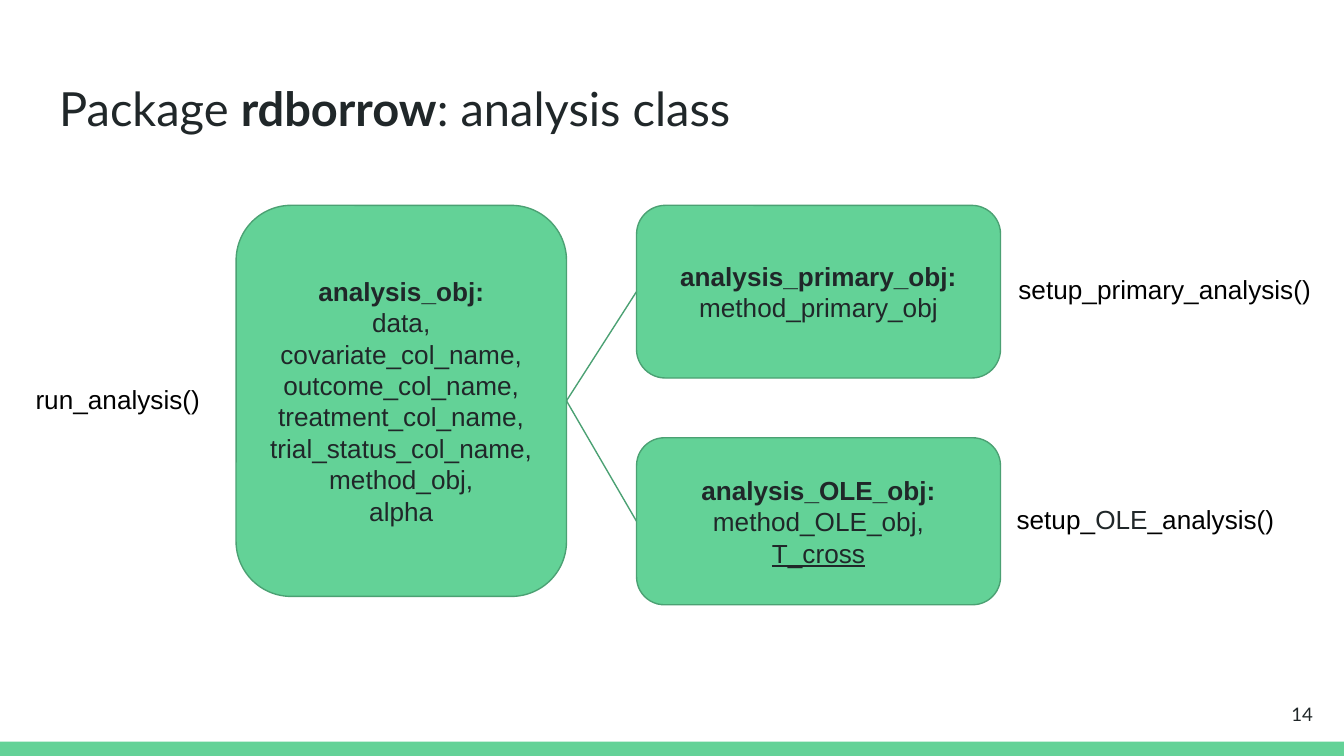
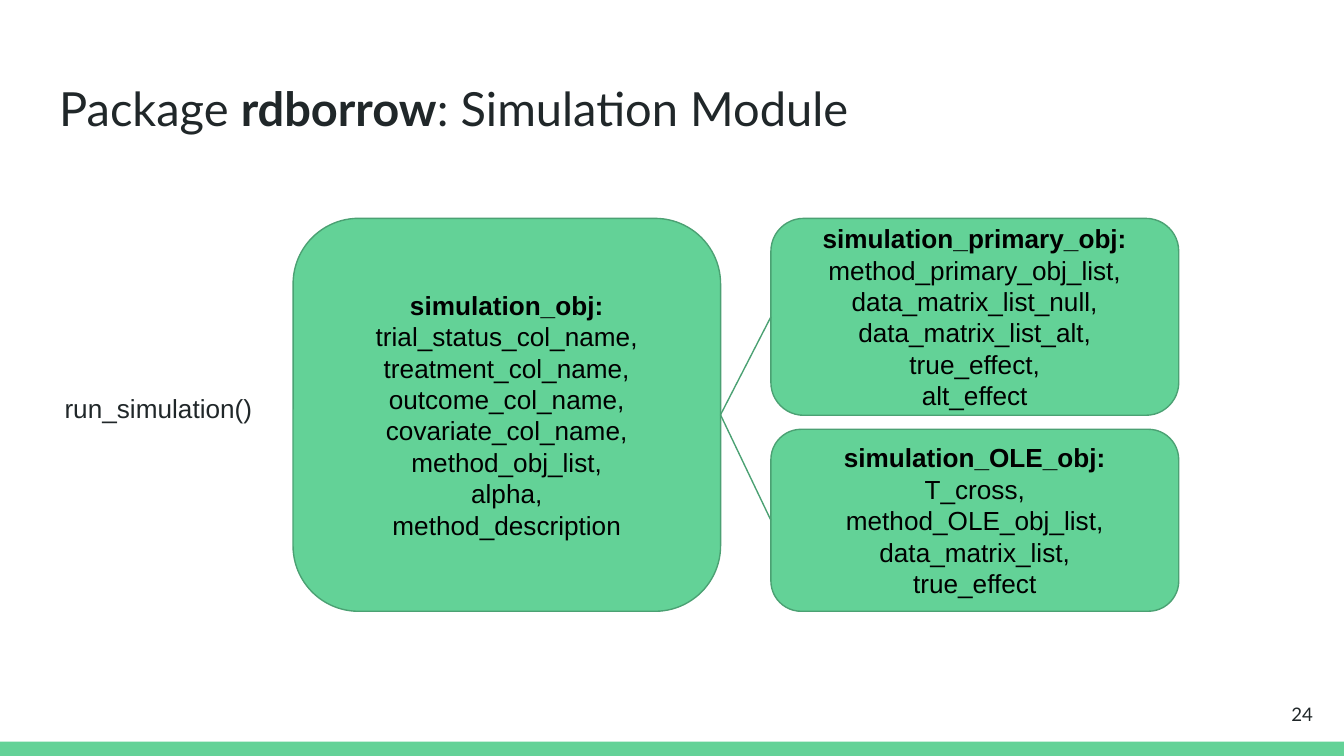
import pptx
import pptx.dml.color
import pptx.enum.shapes
import pptx.enum.text
import pptx.oxml
import pptx.util
from pptx.util import Pt

GREEN, EDGE, INK, BLACK = "63D297", "4BA173", "202729", "000000"
ALIGN = pptx.enum.text.PP_ALIGN
ANCHOR = pptx.enum.text.MSO_ANCHOR
SHAPE = pptx.enum.shapes.MSO_SHAPE


def rgb(color):
    return pptx.dml.color.RGBColor.from_string(color)


def write(shape, lines, font="Arial", size=14, color=BLACK, align=ALIGN.LEFT, anchor=ANCHOR.TOP):
    """Fill a shape with lines; each line is a list of (text, overrides) runs."""
    frame = shape.text_frame
    frame.word_wrap = True
    frame.auto_size = pptx.enum.text.MSO_AUTO_SIZE.NONE
    frame.vertical_anchor = anchor
    frame.margin_left = frame.margin_right = frame.margin_top = frame.margin_bottom = Pt(7.2)
    for index, line in enumerate(lines):
        paragraph = frame.add_paragraph() if index else frame.paragraphs[0]
        paragraph.alignment = align
        for text, overrides in line:
            run = paragraph.add_run()
            run.text = text
            run.font.name = font
            run.font.size = Pt(size)
            run.font.bold = overrides.get("bold", False)
            run.font.underline = overrides.get("underline", False)
            run.font.color.rgb = rgb(overrides.get("color", color))


# Each class box: left, top, width, height, heading, fields. The first box is the parent.
# Each label: left, top, width, height, colour, runs.
diagrams = [
    {
        "title": "analysis class",
        "number": "14",
        "color": INK,
        "boxes": [
            (126.5, 110, 177, 209.5, "analysis_obj:",
             ["data,", "covariate_col_name,", "outcome_col_name,", "treatment_col_name,",
              "trial_status_col_name,", "method_obj,", "alpha"]),
            (341, 110, 195, 92.5, "analysis_primary_obj:", ["method_primary_obj"]),
            (341, 234.5, 195, 89.5, "analysis_OLE_obj:", ["method_OLE_obj,", "T_cross"]),
        ],
        "underlined": ["T_cross"],
        "labels": [
            (538.5, 139, 181, 34, BLACK, [("setup_primary_analysis()", {})]),
            (537.5, 262.5, 181, 34, BLACK,
             [("setup_", {}), ("OLE", {"color": INK}), ("_analysis()", {})]),
            (12, 198, 114, 34, BLACK, [("run_analysis()", {})]),
        ],
    },
    {
        "title": "Simulation Module",
        "number": "24",
        "color": BLACK,
        "boxes": [
            (157, 117, 229, 210.5, "simulation_obj:",
             ["trial_status_col_name,", "treatment_col_name,", "outcome_col_name,",
              "covariate_col_name,", "method_obj_list,", "alpha,", "method_description"]),
            (413, 117, 218.5, 105.5, "simulation_primary_obj:",
             ["method_primary_obj_list,", "data_matrix_list_null,", "data_matrix_list_alt,",
              "true_effect,", "alt_effect"]),
            (413, 230, 218.5, 97.5, "simulation_OLE_obj:",
             ["T_cross,", "method_OLE_obj_list,", "data_matrix_list,", "true_effect"]),
        ],
        "underlined": [],
        "labels": [(27.5, 203, 127.5, 38, INK, [("run_simulation()", {})])],
    },
]

presentation = pptx.Presentation()
presentation.slide_width, presentation.slide_height = Pt(720), Pt(405)

for diagram in diagrams:
    slide = presentation.slides.add_slide(presentation.slide_layouts[5])
    shapes = slide.shapes

    band = shapes.add_shape(SHAPE.RECTANGLE, 0, Pt(397.4), Pt(720), Pt(7.6))
    band.shadow.inherit = False
    band.fill.solid()
    band.fill.fore_color.rgb = rgb(GREEN)
    band.line.fill.background()

    title = shapes.title
    title.left, title.top, title.width, title.height = Pt(24.5), Pt(35.3), Pt(671), Pt(45.1)
    write(title, [[("Package ", {}), ("rdborrow", {"bold": True}), (f": {diagram['title']}", {})]],
          font="Lato", size=25.2, color=INK)

    boxes = []
    for left, top, width, height, heading, fields in diagram["boxes"]:
        box = shapes.add_shape(SHAPE.ROUNDED_RECTANGLE, Pt(left), Pt(top), Pt(width), Pt(height))
        box.shadow.inherit = False
        box.fill.solid()
        box.fill.fore_color.rgb = rgb(GREEN)
        box.line.color.rgb = rgb(EDGE)
        box.line.width = Pt(0.75)
        lines = [[(heading, {"bold": True})]]
        lines += [[(field, {"underline": field in diagram["underlined"]})] for field in fields]
        write(box, lines, color=diagram["color"], align=ALIGN.CENTER, anchor=ANCHOR.MIDDLE)
        boxes.append(box)

    parent, *children = boxes
    for child in children:
        connector = shapes.add_connector(pptx.enum.shapes.MSO_CONNECTOR.STRAIGHT, 0, 0, 0, 0)
        connector.begin_connect(parent, 3)
        connector.end_connect(child, 1)
        connector.line.color.rgb = rgb(EDGE)
        connector.line.width = Pt(0.75)
        properties = connector.element.spPr
        properties.append(properties.makeelement(pptx.oxml.ns.qn("a:effectLst"), {}))

    for left, top, width, height, color, runs in diagram["labels"]:
        label = shapes.add_textbox(Pt(left), Pt(top), Pt(width), Pt(height))
        write(label, [runs], color=color)

    number = shapes.add_textbox(Pt(667.5), Pt(367), Pt(43), Pt(31))
    write(number, [[(diagram["number"], {})]], font="Lato", size=10, color=INK,
          align=ALIGN.RIGHT, anchor=ANCHOR.MIDDLE)

presentation.save("out.pptx")
